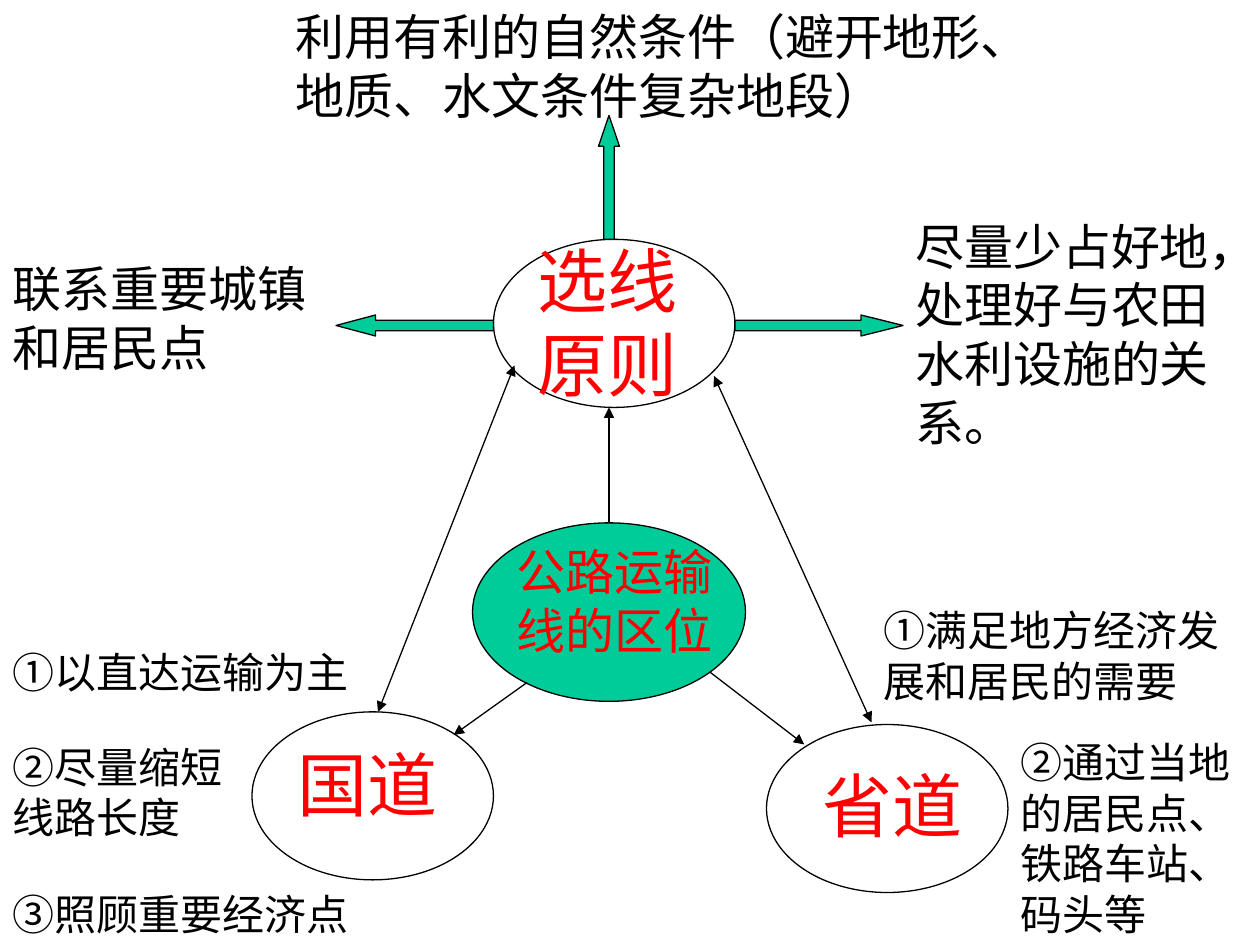
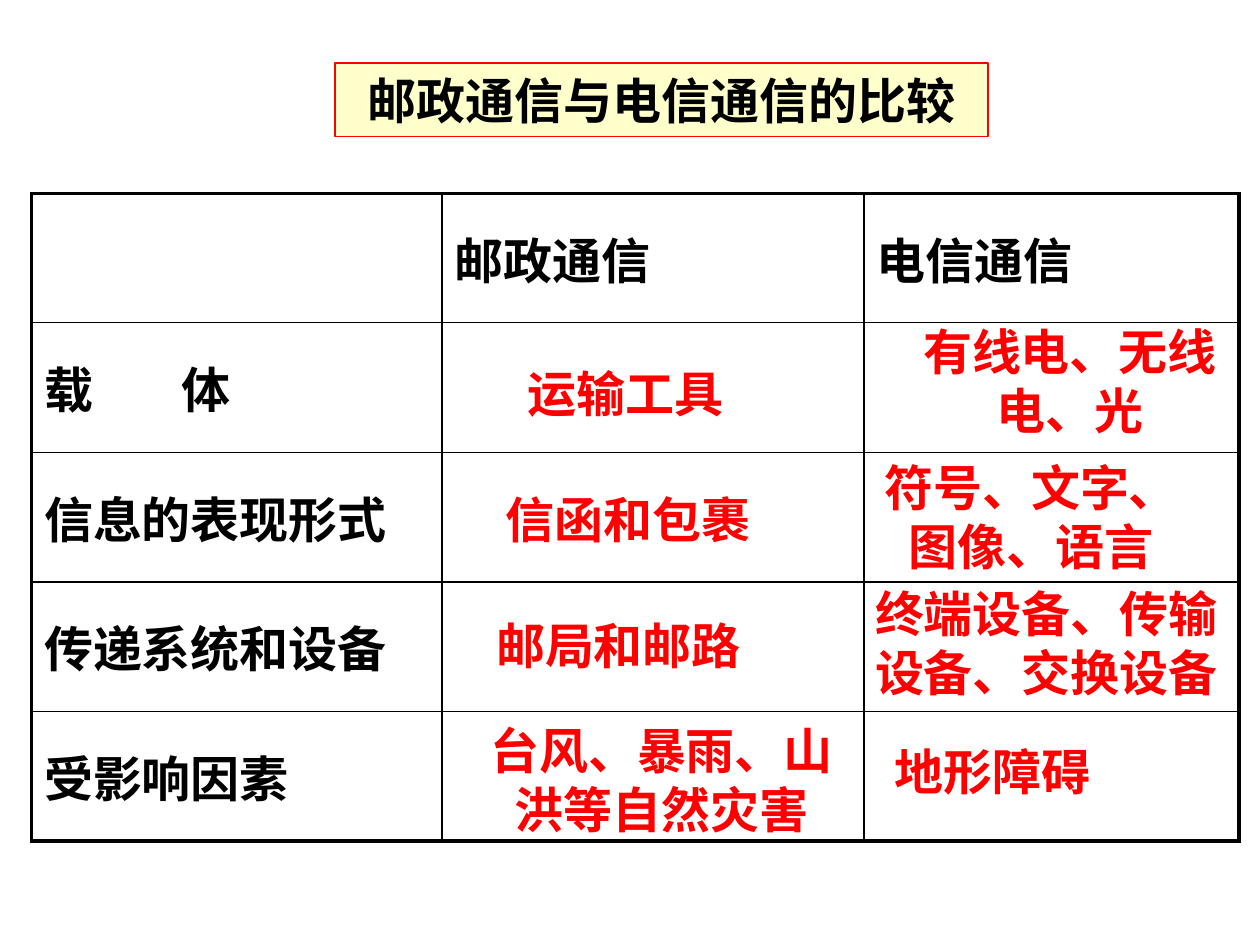
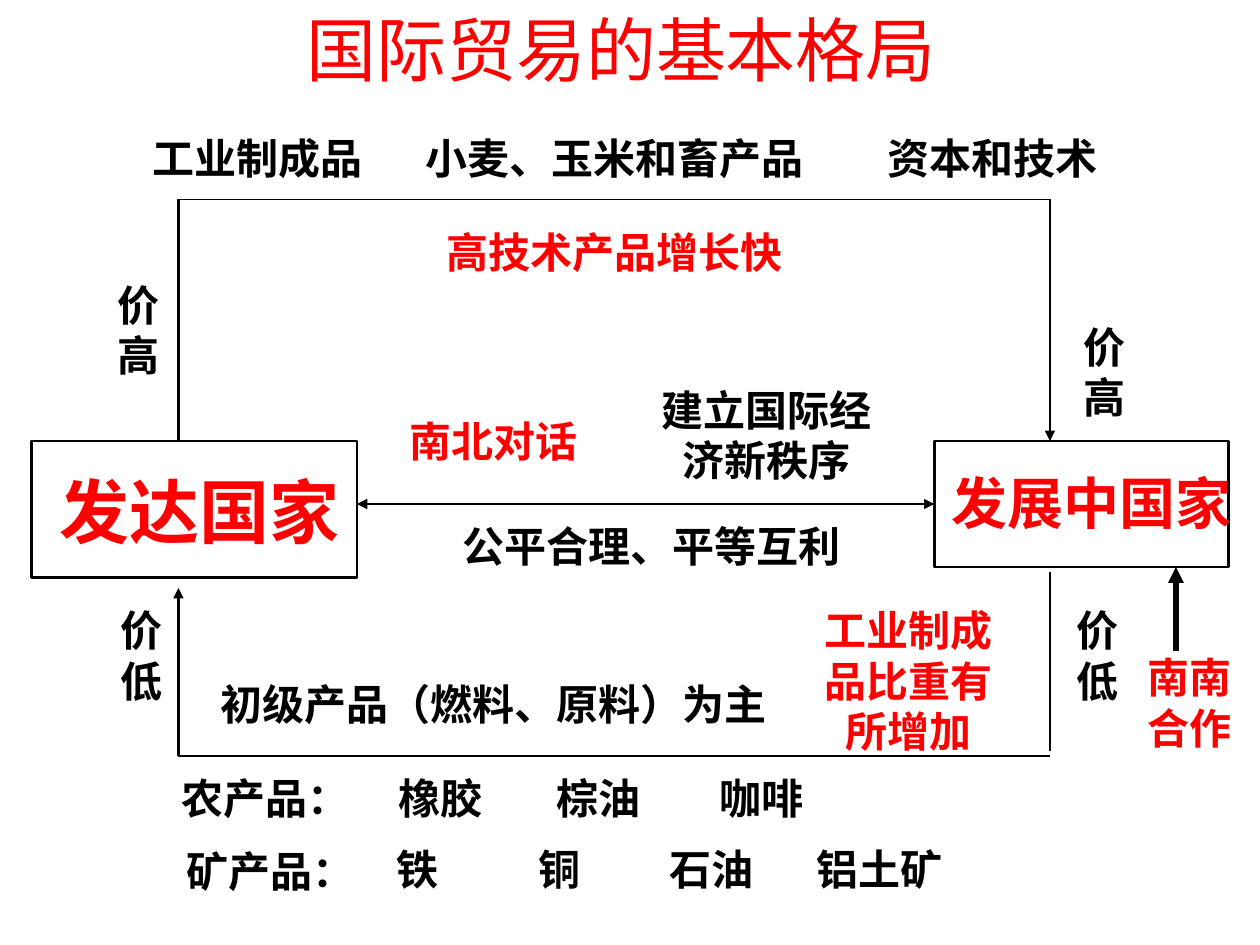
"""Builds three geography review slides on a grid of 120 columns by 90 rows."""
from dataclasses import dataclass
from functools import partial

import pptx
import pptx.dml.color
import pptx.enum.shapes
import pptx.enum.text
import pptx.oxml.ns
import pptx.slide
import pptx.table
import pptx.text.text
import pptx.util
from lxml import etree

COLOURS = {"ink": "000000", "accent": "FF0000", "paper": "FFFFFF", "green": "00CC99", "cream": "FFFFCC"}
FONT = "Times New Roman"
COLUMNS = 120
SLIDE_WIDTH = pptx.util.Inches(10)
SLIDE_HEIGHT = pptx.util.Inches(7.5)
UNIT = SLIDE_WIDTH / COLUMNS
KINDS = pptx.enum.shapes.MSO_SHAPE
OUTER, INNER = 2.25, 1


@dataclass(frozen=True)
class Label:
    """A piece of text whose height follows from its line count."""
    text: str
    left: float
    top: float
    width: float
    lines: int = 1
    size: int = 24
    colour: str = "ink"
    bold: bool = False
    centred: bool = False
    wrap: bool = True


@dataclass(frozen=True)
class Figure:
    """A filled and outlined preset shape."""
    kind: KINDS
    left: float
    top: float
    width: float
    height: float
    fill: str = "paper"
    outline: str = "ink"
    weight: float = 0.75
    adjustments: tuple[float, ...] = ()


@dataclass(frozen=True)
class Link:
    """A straight line with optional arrowheads at its start and end."""
    start: tuple[float, float]
    end: tuple[float, float]
    heads: tuple[str, ...] = ()
    weight: float = 0.75


def grid(*cells: float) -> list[pptx.util.Emu]:
    """Turn grid cells into slide lengths."""
    return [pptx.util.Emu(round(cell * UNIT)) for cell in cells]


def rgb(name: str) -> pptx.dml.color.RGBColor:
    """Look up a named colour."""
    return pptx.dml.color.RGBColor.from_string(COLOURS[name])


def add_span(para: pptx.text.text._Paragraph, text: str, size: int, colour: str, bold: bool) -> None:
    """Add one styled run to a paragraph."""
    span = para.add_run()
    span.text = text
    span.font.name = FONT
    span.font.size = pptx.util.Pt(size)
    span.font.bold = bold
    span.font.color.rgb = rgb(colour)


def write(frame: pptx.text.text.TextFrame, label: Label) -> None:
    """Fill a text frame with a label, one paragraph for each line break."""
    frame.word_wrap = label.wrap
    frame.auto_size = pptx.enum.text.MSO_AUTO_SIZE.SHAPE_TO_FIT_TEXT
    for index, text in enumerate(label.text.splitlines()):
        para = frame.add_paragraph() if index else frame.paragraphs[0]
        align = pptx.enum.text.PP_ALIGN
        para.alignment = align.CENTER if label.centred else align.LEFT
        add_span(para, text, label.size, label.colour, label.bold)


def draw_label(page: pptx.slide.Slide, label: Label) -> None:
    """Place a label as a text box."""
    left, top, width = grid(label.left, label.top, label.width)
    height = pptx.util.Inches(0.1) + pptx.util.Pt(label.lines * label.size * 1.2)
    write(page.shapes.add_textbox(left, top, width, height).text_frame, label)


def draw_figure(page: pptx.slide.Slide, figure: Figure, label: Label | None = None) -> None:
    """Place a preset shape, with text inside when a label is given."""
    shape = page.shapes.add_shape(figure.kind, *grid(figure.left, figure.top, figure.width, figure.height))
    shape.shadow.inherit = False
    shape.fill.solid()
    shape.fill.fore_color.rgb = rgb(figure.fill)
    shape.line.color.rgb = rgb(figure.outline)
    shape.line.width = pptx.util.Pt(figure.weight)
    for index, value in enumerate(figure.adjustments):
        shape.adjustments[index] = value
    if label:
        write(shape.text_frame, label)


def draw_link(page: pptx.slide.Slide, link: Link) -> None:
    """Place a line and its arrowheads."""
    straight = pptx.enum.shapes.MSO_CONNECTOR.STRAIGHT
    connector = page.shapes.add_connector(straight, *grid(*link.start, *link.end))
    connector.line.color.rgb = rgb("ink")
    connector.line.width = pptx.util.Pt(link.weight)
    outline = connector.line._get_or_add_ln()
    for head in link.heads:
        etree.SubElement(outline, pptx.oxml.ns.qn(f"a:{head}"), type="triangle")
    etree.SubElement(connector._element.spPr, pptx.oxml.ns.qn("a:effectLst"))


def draw_diagram(page: pptx.slide.Slide, figures: list[Figure], links: list[Link], labels: list[Label]) -> None:
    """Place shapes, then lines, then text."""
    for draw, items in ((draw_figure, figures), (draw_link, links), (draw_label, labels)):
        for item in items:
            draw(page, item)


def set_borders(cell: pptx.table._Cell, weights: dict[str, float]) -> None:
    """Give each side of a table cell a black line."""
    properties = cell._tc.get_or_add_tcPr()
    for index, (side, weight) in enumerate(weights.items()):
        border = etree.Element(pptx.oxml.ns.qn(f"a:ln{side}"), w=str(pptx.util.Pt(weight)))
        fill = etree.SubElement(border, pptx.oxml.ns.qn("a:solidFill"))
        etree.SubElement(fill, pptx.oxml.ns.qn("a:srgbClr"), val=COLOURS["ink"])
        properties.insert(index, border)


def draw_table(page: pptx.slide.Slide, rows: list[tuple[str, ...]], widths: tuple[float, ...],
               left: float, top: float, row_height: float, tab: float) -> None:
    """Place a table with a heavy frame and thin inner lines."""
    last_row, last_column = len(rows) - 1, len(widths) - 1
    place = grid(left, top, sum(widths), row_height * len(rows))
    table = page.shapes.add_table(len(rows), len(widths), *place).table
    for column, width in zip(table.columns, grid(*widths)):
        column.width = width
    for row_index, texts in enumerate(rows):
        table.rows[row_index].height = grid(row_height)[0]
        for column_index, text in enumerate(texts):
            cell = table.cell(row_index, column_index)
            cell.vertical_anchor = pptx.enum.text.MSO_ANCHOR.MIDDLE
            cell.fill.background()
            set_borders(cell, {
                "L": INNER if column_index else OUTER,
                "R": OUTER if column_index == last_column else INNER,
                "T": INNER if row_index else OUTER,
                "B": OUTER if row_index == last_row else INNER,
            })
            para = cell.text_frame.paragraphs[0]
            if "\t" in text:
                stops = etree.SubElement(para._p.get_or_add_pPr(), pptx.oxml.ns.qn("a:tabLst"))
                etree.SubElement(stops, pptx.oxml.ns.qn("a:tab"), pos=str(grid(tab)[0]), algn="l")
            if text:
                add_span(para, text, 28, "ink", True)


def build_road_slide(page: pptx.slide.Slide) -> None:
    """Show how road routes are sited."""
    oval = partial(Figure, KINDS.OVAL, width=23, height=16)
    arrow = partial(Figure, fill="green")
    heading = partial(Label, size=40, colour="accent")
    principle = partial(Label, size=28)
    both = ("headEnd", "tailEnd")
    figures = [
        oval(47, 22.8), oval(24, 67.8), oval(73, 69),
        oval(45, 49.8, width=26, height=17, fill="green"),
        arrow(KINDS.UP_ARROW, 57, 11, 2, 11.8, adjustments=(0.5, 1.47)),
        arrow(KINDS.LEFT_ARROW, 32, 30, 15, 2, adjustments=(0.5, 1.88)),
        arrow(KINDS.RIGHT_ARROW, 70, 30, 16, 2, adjustments=(0.5, 2)),
    ]
    links = [
        Link((58, 38.8), (58, 49.8), both[:1]),
        Link((43.2, 70), (50.2, 65), both[:1]),
        Link((76.6, 70.9), (67.6, 64), both[:1]),
        Link((49, 34.8), (36, 67.8), both),
        Link((68, 35.8), (83, 68.8), both),
    ]
    labels = [
        principle("公路运输线的区位", 48, 51, 24, 2, colour="accent"),
        heading("选线原则", 50, 22, 19, 2),
        heading("国道", 25, 70, 20, centred=True),
        heading("省道", 75, 72, 20, centred=True),
        Label("①满足地方经济发展和居民的需要", 83, 57, 37, 2),
        Label("②通过当地的居民点、铁路车站、码头等", 96, 69.6, 24, 4),
        Label("①以直达运输为主", 0, 61, 36),
        Label("②尽量缩短线路长度", 0, 70, 23, 2),
        Label("③照顾重要经济点", 0, 84, 36),
        principle("利用有利的自然条件（避开地形、地质、水文条件复杂地段）", 27, 0, 67.9, 2),
        principle("尽量少占好地，处理好与农田水利设施的关系。", 86, 20, 31, 4),
        principle("联系重要城镇和居民点", 0, 24, 34, 2),
    ]
    draw_diagram(page, figures, links, labels)


def build_communication_slide(page: pptx.slide.Slide) -> None:
    """Compare postal communication with telecommunication."""
    rows = [
        ("", "邮政通信", "电信通信"),
        ("载\t体", "", ""),
        ("信息的表现形式", "", ""),
        ("传递系统和设备", "", ""),
        ("受影响因素", "", ""),
    ]
    draw_table(page, rows, (39.1, 40.2, 35.7), left=3, top=18.4, row_height=12.34, tab=13.1)
    bold = partial(Label, size=28, bold=True, centred=True)
    answer = partial(bold, colour="accent", wrap=False)
    labels = [
        answer("运输工具", 49, 34, 21.1),
        answer("有线电、无线\n电、光", 83.8, 30, 36.2, 2, wrap=True),
        answer("信函和包裹", 46.9, 46, 25.8),
        answer("符号、文字、\n图像、语言", 82.9, 43, 30.6, 2),
        answer("邮局和邮路", 46, 58, 25.8),
        answer("终端设备、传输\n设备、交换设备", 82, 55, 35.3, 2),
        answer("台风、暴雨、山洪等自然灾害", 44, 68, 38, 2, wrap=True),
        answer("地形障碍", 84, 70, 21.1),
    ]
    draw_diagram(page, [], [], labels)
    banner = Figure(KINDS.RECTANGLE, 31.9, 6, 62.2, 7, "cream", "accent")
    draw_figure(page, banner, bold("邮政通信与电信通信的比较", banner.left, banner.top, banner.width))


def build_trade_slide(page: pptx.slide.Slide) -> None:
    """Show the basic pattern of international trade."""
    country = partial(Figure, KINDS.RECTANGLE, weight=1.5)
    flow = partial(Link, weight=1.5)
    note = partial(Label, bold=True, centred=True)
    key = partial(note, colour="accent")
    figures = [country(3, 42, 31, 13), country(89, 42, 28, 12)]
    links = [
        flow((17, 19), (17, 42)),
        flow((17, 19), (100, 19), weight=0.75),
        flow((100, 19), (100, 42), ("tailEnd",)),
        flow((100, 54.5), (100, 71.5)),
        flow((100, 72), (17, 72)),
        flow((17, 72), (17, 56), ("tailEnd",)),
        flow((34, 48), (89, 48), ("headEnd", "tailEnd")),
        flow((112, 62), (112, 54), ("tailEnd",), weight=3),
    ]
    labels = [
        key("发达国家", 4, 44, 30, size=40),
        key("发展中国家", 86, 44, 36, size=32),
        note("工业制成品", 12, 12, 25),
        note("小麦、玉米和畜产品", 37, 12, 43),
        note("资本和技术", 81, 12, 27),
        key("高技术产品增长快", 19, 21, 79),
        note("初级产品（燃料、原料）为主", 19, 64, 56),
        note("农产品：", 15.6, 73, 19.4),
        note("橡胶", 33, 73, 18),
        note("棕油", 49, 73, 16),
        note("咖啡", 64, 73, 17),
        note("矿产品：", 15.6, 79.9, 20.4),
        note("铁", 32.8, 79.7, 14),
        note("铜", 46.8, 79.7, 13),
        note("石油", 60.8, 79.7, 14),
        note("铝土矿", 75.8, 79.7, 16),
        key("工业制成品比重有所增加", 76, 57, 21, 3),
        key("南北对话", 36, 39, 22),
        note("建立国际经济新秩序", 61, 36, 24, 2),
        note("公平合理、平等互利", 37, 49, 50),
        note("价高", 10, 26, 6, 2),
        note("价低", 10, 57, 7, 2),
        note("价高", 102, 30, 6, 2),
        note("价低", 101, 57, 7, 2),
        key("南南合作", 107.8, 61.5, 11, 2),
        Label("国际贸易的基本格局", 28, 0, 64, size=40, colour="accent"),
    ]
    draw_diagram(page, figures, links, labels)


def main() -> None:
    """Build and save the deck."""
    deck = pptx.Presentation()
    deck.slide_width, deck.slide_height = SLIDE_WIDTH, SLIDE_HEIGHT
    blank = deck.slide_layouts[6]
    for build in (build_road_slide, build_communication_slide, build_trade_slide):
        build(deck.slides.add_slide(blank))
    deck.save("out.pptx")


if __name__ == "__main__":
    main()
